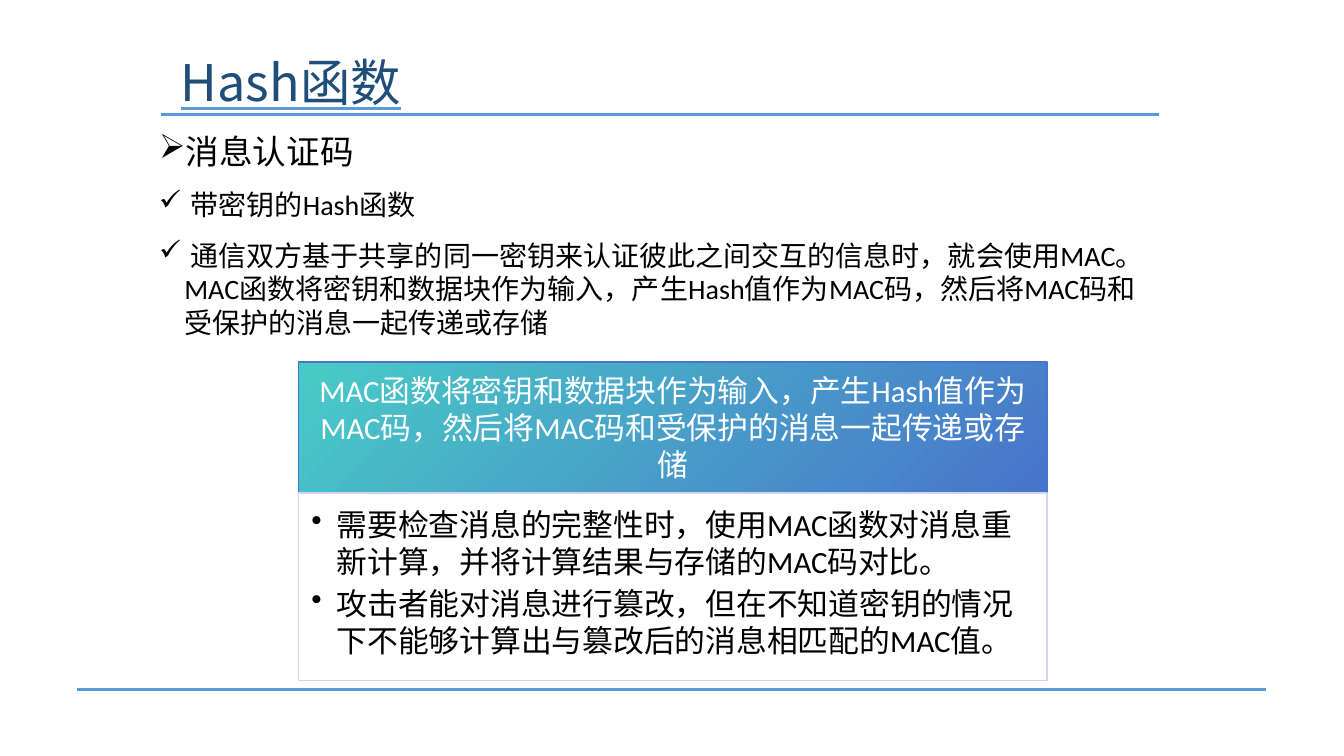
"""Build the slide on hash functions and message authentication codes."""
import pptx
import pptx.util
import pptx.dml.color
import pptx.enum.shapes
import pptx.enum.text
import pptx.oxml
import pptx.oxml.ns

COLOURS = {"rule": "5B9BD5", "title": "1F4E79", "body": "000000", "white": "FFFFFF",
           "teal": "48CBC6", "blue": "4874CB", "pale": "CFD6EC"}
WIDTH, HEIGHT = pptx.util.Inches(13.33), pptx.util.Inches(7.5)
CARD_LEFT, CARD_WIDTH = 0.222 * WIDTH, 0.557 * WIDTH
HEADER_TOP, DETAIL_TOP, CARD_BOTTOM = 0.479 * HEIGHT, 0.652 * HEIGHT, 0.9 * HEIGHT


def colour(key):
    return pptx.dml.color.RGBColor.from_string(COLOURS[key])


def write(frame, entries, margins):
    frame.word_wrap = True
    for side, inches in zip(("left", "top", "right", "bottom"), margins):
        setattr(frame, f"margin_{side}", pptx.util.Inches(inches))
    for index, (words, bullet, font, layout) in enumerate(entries):
        paragraph = frame.paragraphs[0] if index == 0 else frame.add_paragraph()
        if bullet:
            properties = paragraph._p.get_or_add_pPr()
            properties.set("marL", str(pptx.util.Inches(0.25)))
            properties.set("indent", str(-pptx.util.Inches(0.25)))
            mark = pptx.oxml.ns.qn("a:buChar")
            properties.append(properties.makeelement(mark, {"char": bullet}))
        for key, value in layout.items():
            setattr(paragraph, key, value)
        run = paragraph.add_run()
        run.text = words
        for key, value in font.items():
            if key == "color":
                run.font.color.rgb = colour(value)
            else:
                setattr(run.font, key, value)


deck = pptx.Presentation()
deck.slide_width, deck.slide_height = WIDTH, HEIGHT
slide = deck.slides.add_slide(deck.slide_layouts[6])
shapes = slide.shapes

for left, right, level in ((0.057, 0.942, 0.912), (0.12, 0.862, 0.151)):
    rule = shapes.add_connector(pptx.enum.shapes.MSO_CONNECTOR.STRAIGHT,
                                int(left * WIDTH), int(level * HEIGHT),
                                int(right * WIDTH), int(level * HEIGHT))
    rule.line.color.rgb = colour("rule")
    rule.line.width = pptx.util.Pt(2.28)
    rule._element.spPr.append(
        rule._element.makeelement(pptx.oxml.ns.qn("a:effectLst"), {}))

title = shapes.add_textbox(int(0.1345 * WIDTH), int(0.073 * HEIGHT),
                           int(0.729 * WIDTH), int(0.081 * HEIGHT))
title_font = {"size": pptx.util.Pt(36), "name": "Noto Sans CJK SC",
              "color": "title", "underline": True}
write(title.text_frame, [("Hash函数", None, title_font, {"line_spacing": 0.95})], (0, 0, 0, 0))
title_run = title.text_frame.paragraphs[0].runs[0]
title_run.font._element.find(pptx.oxml.ns.qn("a:latin")).addprevious(pptx.oxml.parse_xml(
    f'<a:uFill {pptx.oxml.ns.nsdecls("a")}><a:solidFill>'
    f'<a:srgbClr val="{COLOURS["rule"]}"/></a:solidFill></a:uFill>'))

topic_font = {"size": pptx.util.Pt(24), "name": "Calibri", "color": "body"}
point_font = {**topic_font, "size": pptx.util.Pt(20)}
card_font = {**topic_font, "size": pptx.util.Pt(22)}
after = {"space_after": pptx.util.Pt(6)}
spaced = {**after, "space_before": pptx.util.Pt(6)}
body = shapes.add_textbox(int(0.111 * WIDTH), int(0.161 * HEIGHT),
                          int(0.751 * WIDTH), int(0.3 * HEIGHT))
write(body.text_frame, [
    ("消息认证码", "➢", topic_font, {**after, "line_spacing": 1.1}),
    (" 带密钥的Hash函数", "✓", point_font, spaced),
    (" 通信双方基于共享的同一密钥来认证彼此之间交互的信息时，就会使用MAC。 "
     "MAC函数将密钥和数据块作为输入，产生Hash值作为MAC码，"
     "然后将MAC码和受保护的消息一起传递或存储", "✓", point_font, spaced),
], (0.1, 0.05, 0.1, 0.05))

left_aligned = {"alignment": pptx.enum.text.PP_ALIGN.LEFT,
                "space_after": pptx.util.Pt(3.3)}
cards = (
    (HEADER_TOP, DETAIL_TOP, "blue", "MIDDLE", (0.17, 0.1, 0.17, 0.1), [
        ("MAC函数将密钥和数据块作为输入，产生Hash值作为MAC码，"
         "然后将MAC码和受保护的消息一起传递或存储", None,
         {**card_font, "color": "white"},
         {"alignment": pptx.enum.text.PP_ALIGN.CENTER})]),
    (DETAIL_TOP, CARD_BOTTOM, "pale", "TOP", (0.13, 0.13, 0.17, 0.19), [
        ("需要检查消息的完整性时，使用MAC函数对消息重新计算，"
         "并将计算结果与存储的MAC码对比。", "•", card_font, left_aligned),
        ("攻击者能对消息进行篡改，但在不知道密钥的情况下"
         "不能够计算出与篡改后的消息相匹配的MAC值。", "•", card_font, left_aligned)]),
)
for top, bottom, border, anchor, margins, entries in cards:
    card = shapes.add_shape(pptx.enum.shapes.MSO_SHAPE.RECTANGLE, int(CARD_LEFT), int(top),
                            int(CARD_WIDTH), int(bottom - top))
    card.shadow.inherit = False
    if border == "blue":
        card.fill.gradient()
        card.fill.gradient_angle = 315
        for stop, key in zip(card.fill.gradient_stops, ("teal", "blue")):
            stop.color.rgb = colour(key)
    else:
        card.fill.solid()
        card.fill.fore_color.rgb = colour("white")
    card.line.color.rgb = colour(border)
    card.line.width = pptx.util.Pt(1)
    card.text_frame.vertical_anchor = getattr(pptx.enum.text.MSO_ANCHOR, anchor)
    write(card.text_frame, entries, margins)

deck.save("out.pptx")
